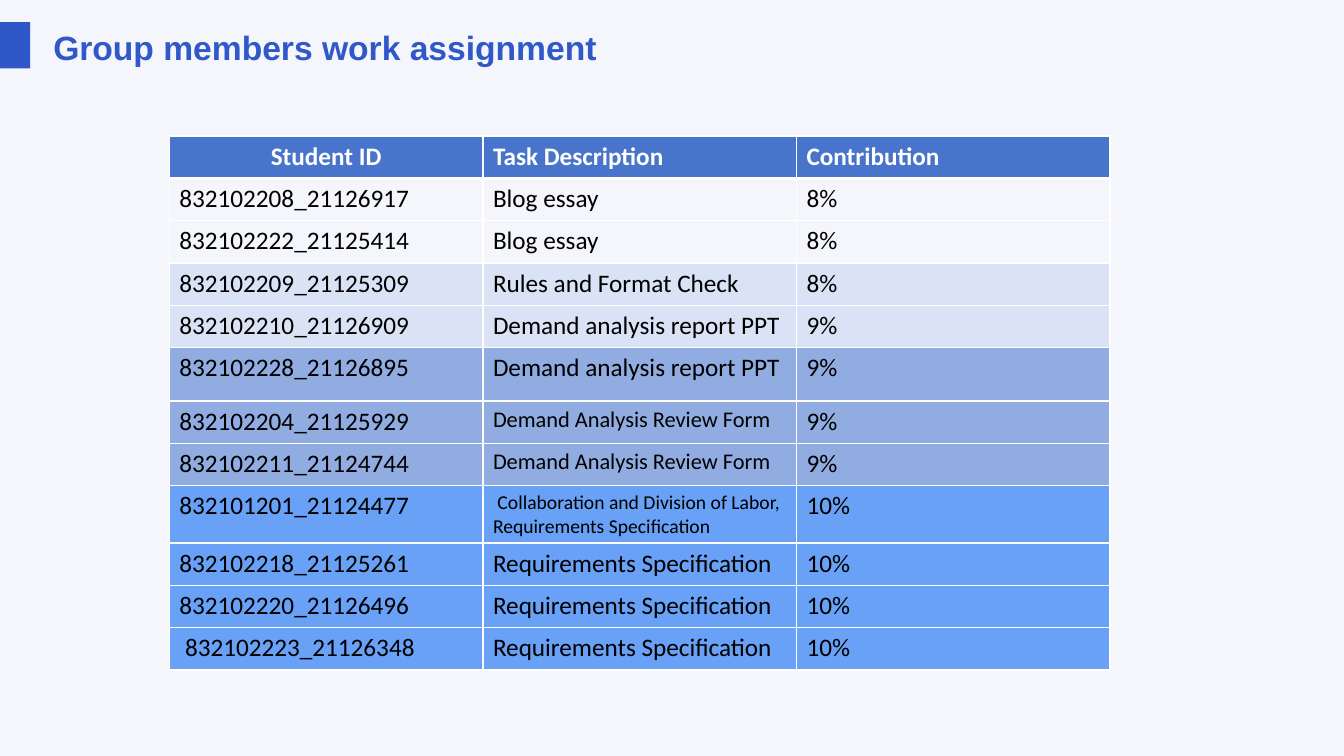
"""Build the slide that lists the work and share of each group member."""
import pptx
import pptx.util
import pptx.dml.color
import pptx.enum.shapes
import pptx.enum.text
import pptx.oxml
import pptx.oxml.ns
from pptx.util import Inches

COLORS = {
    "back": "F4F6FB", "mark": "2F57C7", "title": "3058C8", "head": "4874CB",
    "light": "DAE3F5", "mid": "91ACE0", "deep": "68A1F6",
    "white": "FFFFFF", "black": "000000",
}
HEADS = ["Student ID", "Task Description", "Contribution"]
MEMBERS = [
    ("832102208_21126917", "Blog essay", "8%", "back"),
    ("832102222_21125414", "Blog essay", "8%", "back"),
    ("832102209_21125309", "Rules and Format Check", "8%", "light"),
    ("832102210_21126909", "Demand analysis report PPT", "9%", "light"),
    ("832102228_21126895", "Demand analysis report PPT", "9%", "mid"),
    ("832102204_21125929", "Demand Analysis Review Form", "9%", "mid"),
    ("832102211_21124744", "Demand Analysis Review Form", "9%", "mid"),
    ("832101201_21124477",
     " Collaboration and Division of Labor, Requirements Specification",
     "10%", "deep"),
    ("832102218_21125261", "Requirements Specification", "10%", "deep"),
    ("832102220_21126496", "Requirements Specification", "10%", "deep"),
    (" 832102223_21126348", "Requirements Specification", "10%", "deep"),
]
TALL = {5: 0.53, 8: 0.57}


def color(name):
    return pptx.dml.color.RGBColor.from_string(COLORS[name])


def paint(fill, name):
    fill.solid()
    fill.fore_color.rgb = color(name)


def style(para, size, name, bold, face):
    font = para.font
    font.size = pptx.util.Pt(size)
    font.name = face
    font.bold = bold
    font.color.rgb = color(name)


def add_mark(slide):
    mark = slide.shapes.add_shape(
        pptx.enum.shapes.MSO_SHAPE.RECTANGLE,
        0, Inches(0.22), Inches(0.3), Inches(0.46))
    mark.shadow.inherit = False
    paint(mark.fill, "mark")
    mark.line.fill.background()


def add_title(slide, text):
    box = slide.shapes.add_textbox(
        Inches(0.43), Inches(0.22), Inches(6.19), Inches(0.91))
    frame = box.text_frame
    frame.word_wrap = True
    frame.text = text
    style(frame.paragraphs[0], 24, "title", True, "Arial")


def add_edges(cell, base):
    props = cell._tc.get_or_add_tcPr()
    for side, width in (("L", 1), ("R", 1), ("T", 1), ("B", base)):
        props.append(pptx.oxml.parse_xml(
            f'<a:ln{side} {pptx.oxml.ns.nsdecls("a")} w="{pptx.util.Pt(width)}">'
            f'<a:solidFill><a:srgbClr val="{COLORS["white"]}"/></a:solidFill>'
            f'</a:ln{side}>'))


def fill_cell(cell, text, shade, head):
    add_edges(cell, 3 if head else 1)
    paint(cell.fill, shade)
    cell.text = text
    size = 14 if len(text) > 40 else 16 if "Review" in text else 18
    ink = "white" if head else "black"
    style(cell.text_frame.paragraphs[0], size, ink, head, "Calibri")


def add_grid(slide):
    rows = [(*HEADS, "head"), *MEMBERS]
    grid = slide.shapes.add_table(
        len(rows), len(HEADS),
        Inches(1.68), Inches(1.35), Inches(9.33), Inches(5.26)).table
    for col in grid.columns:
        col.width = Inches(3.11)
    for i, (*texts, shade) in enumerate(rows):
        grid.rows[i].height = Inches(TALL.get(i, 0.42))
        for j, text in enumerate(texts):
            fill_cell(grid.cell(i, j), text, shade, i == 0)
    first = grid.cell(0, 0)
    first.vertical_anchor = pptx.enum.text.MSO_ANCHOR.MIDDLE
    first.text_frame.paragraphs[0].alignment = pptx.enum.text.PP_ALIGN.CENTER


def main():
    deck = pptx.Presentation()
    deck.slide_width = Inches(13.33)
    deck.slide_height = Inches(7.5)
    slide = deck.slides.add_slide(deck.slide_layouts[6])
    paint(slide.background.fill, "back")
    add_mark(slide)
    add_title(slide, "Group members work assignment")
    add_grid(slide)
    deck.save("out.pptx")


if __name__ == "__main__":
    main()
